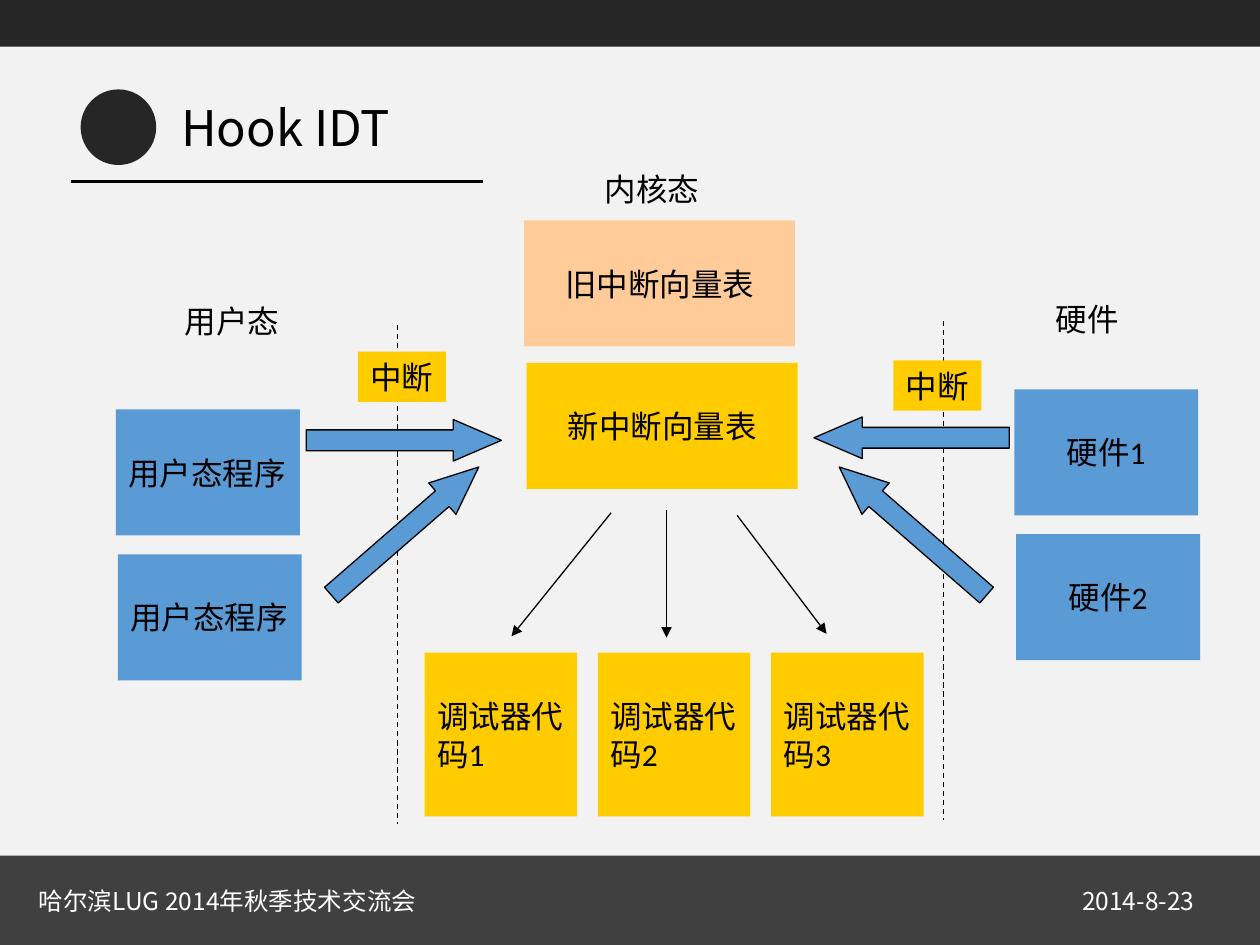
from lxml import etree
from pptx import Presentation
from pptx import util as u
from pptx.dml.color import RGBColor
from pptx.enum import dml, shapes, text
from pptx.oxml.ns import qn

# The grid: 100 columns by 75 rows, each a tenth of an inch
COLUMNS, ROWS = 100, 75
CELL = u.Inches(0.1)

PAPER = RGBColor(0xF2, 0xF2, 0xF2)
INK = RGBColor(0x26, 0x26, 0x26)
FOOTER_GREY = RGBColor(0x40, 0x40, 0x40)
BLACK = RGBColor(0, 0, 0)
WHITE = RGBColor(0xFF, 0xFF, 0xFF)
BLUE = RGBColor(0x5B, 0x9B, 0xD5)
YELLOW = RGBColor(0xFF, 0xCC, 0x00)
PEACH = RGBColor(0xFF, 0xCC, 0x99)

SANS = "Noto Sans CJK SC"
LABEL = {"size": u.Pt(18), "name": "Calibri", "color": BLACK}
FOOTER = {"size": u.Pt(14), "name": SANS, "color": WHITE}
TITLE = {"size": u.Pt(28), "name": SANS, "color": BLACK}
LEFT, CENTER = text.PP_ALIGN.LEFT, text.PP_ALIGN.CENTER
KIND = shapes.MSO_SHAPE


def grid(*cells):
    return [round(cell * CELL) for cell in cells]


def paint(shape, fill, line=None, width=0.75):
    shape.shadow.inherit = False
    shape.fill.solid()
    shape.fill.fore_color.rgb = fill
    if line is None:
        shape.line.fill.background()
    else:
        shape.line.color.rgb = line
        shape.line.width = u.Pt(width)
    return shape


def write(shape, words, style, align=LEFT, wrap=True):
    frame = shape.text_frame
    frame.word_wrap = wrap
    frame.vertical_anchor = text.MSO_ANCHOR.MIDDLE
    paragraph = frame.paragraphs[0]
    paragraph.alignment = align
    run = paragraph.add_run()
    run.text = words
    for key, value in style.items():
        if key == "color":
            run.font.color.rgb = value
        else:
            setattr(run.font, key, value)


def block(slide, box, fill, words=None, align=CENTER, wrap=True, kind=KIND.RECTANGLE):
    shape = paint(slide.shapes.add_shape(kind, *grid(*box)), fill)
    if words:
        write(shape, words, LABEL, align, wrap)


def caption(slide, box, words, style=LABEL, wrap=False):
    write(slide.shapes.add_textbox(*grid(*box)), words, style, wrap=wrap)


def rule(slide, start, end, width=0.75, dashed=False, head=False):
    line = slide.shapes.add_connector(
        shapes.MSO_CONNECTOR.STRAIGHT, *grid(*start, *end))
    line.line.color.rgb = BLACK
    line.line.width = u.Pt(width)
    if dashed:
        line.line.dash_style = dml.MSO_LINE.DASH
    if head:
        etree.SubElement(line.line._get_or_add_ln(), qn("a:tailEnd"), type="triangle")
    etree.SubElement(line._element.spPr, qn("a:effectLst"))


def bars(slide):
    """Top bar and footer across the slide."""
    block(slide, (0, 0, COLUMNS, 3.7), INK)
    footer_top = ROWS - 7.1
    block(slide, (0, footer_top, COLUMNS, 7.1), FOOTER_GREY)
    for left, width, words in ((2.1, 36.1, "哈尔滨LUG 2014年秋季技术交流会"),
                               (84.9, 12.7, "2014-8-23")):
        caption(slide, (left, footer_top + 1.9, width, 3.4), words, FOOTER)


def heading(slide, box):
    """Plain round marker, title and the rule below."""
    x, y, width, height = box
    block(slide, (x + 0.8, y, 6, 6), INK, kind=KIND.OVAL)
    caption(slide, (x + 7.8, y + 0.1, 36.7, 5.7), "Hook IDT", TITLE, wrap=True)
    rule(slide, (x, y + height), (x + width, y + height), 1.5)


def side(slide, box, part):
    """One source of interrupts: its blocks, divider and block arrows."""
    x, y, _, height = box

    def place(spot, *size):
        return (x + spot[0], y + spot[1], *size)

    divider = part["divider"]
    rule(slide, place(divider), (x + divider[0], y + height), dashed=True)
    caption(slide, place(part["name_at"], part["name_width"], 4), part["name"])
    dx, dy = part["blocks_at"]
    for row, words in enumerate(part["blocks"]):
        spot = (dx + 0.15 * row, dy + 11.5 * row)
        block(slide, place(spot, 14.6, 10), BLUE, words, part["align"])
    dx, dy = part["arrows_at"]
    for spot, turn in (((dx, dy), 0), ((dx + 0.1, part["slanted_top"]), part["turn"])):
        arrow = slide.shapes.add_shape(part["arrow"], *grid(*place(spot, 15.5, 3.3)))
        paint(arrow, BLUE, BLACK)
        arrow.adjustments[0], arrow.adjustments[1] = 0.5, 1.16
        arrow.rotation = turn
    block(slide, place(part["interrupt_at"], 7, 4), YELLOW, "中断", LEFT, wrap=False)


def kernel(slide, box):
    """Old and new vector tables, with the debugger code below."""
    x, y, width, _ = box
    caption(slide, (x + 13.3, y, 9.5, 4), "内核态")
    block(slide, (x + 7.9, y + 4.5, 21.5, 10), PEACH, "旧中断向量表")
    block(slide, (x + 8.1, y + 15.8, 21.5, 10), YELLOW, "新中断向量表")
    step = (width - 12.1) / 2
    for column in range(3):
        block(slide, (x + column * step, y + 38.8, 12.1, 13), YELLOW,
              f"调试器代码{column + 1}", LEFT)
    for start, end in (((14.8, 27.7), (6.9, 37.5)),
                       ((19.2, 27.5), (19.2, 37.6)),
                       ((24.8, 27.9), (31.9, 37.3))):
        rule(slide, (x + start[0], y + start[1]), (x + end[0], y + end[1]), head=True)


USER = {"name": "用户态", "name_at": (4.5, 0.2), "name_width": 10,
        "blocks": ["用户态程序"] * 2, "blocks_at": (0, 9.2), "align": LEFT,
        "arrow": KIND.RIGHT_ARROW, "arrows_at": (15.1, 10), "slanted_top": 17.2,
        "turn": 319, "interrupt_at": (19.2, 4.6), "divider": (22.35, 2.5)}
HARDWARE = {"name": "硬件", "name_at": (18.2, 0), "name_width": 7,
            "blocks": ["硬件1", "硬件2"], "blocks_at": (15.9, 7.6), "align": CENTER,
            "arrow": KIND.LEFT_ARROW, "arrows_at": (0, 9.8), "slanted_top": 17.2,
            "turn": 41, "interrupt_at": (6.3, 5.3), "divider": (10.3, 2.2)}


def main():
    deck = Presentation()
    deck.slide_width, deck.slide_height = grid(COLUMNS, ROWS)
    slide = deck.slides.add_slide(deck.slide_layouts[6])
    slide.background.fill.solid()
    slide.background.fill.fore_color.rgb = PAPER
    bars(slide)
    heading(slide, (5.6, 7.1, 32.7, 7.3))
    side(slide, (9.2, 23.3, 30.6, 42.1), USER)
    side(slide, (64.6, 23.3, 30.6, 41.8), HARDWARE)
    kernel(slide, (33.7, 13, 39.6, 51.8))
    deck.save("out.pptx")


if __name__ == "__main__":
    main()
